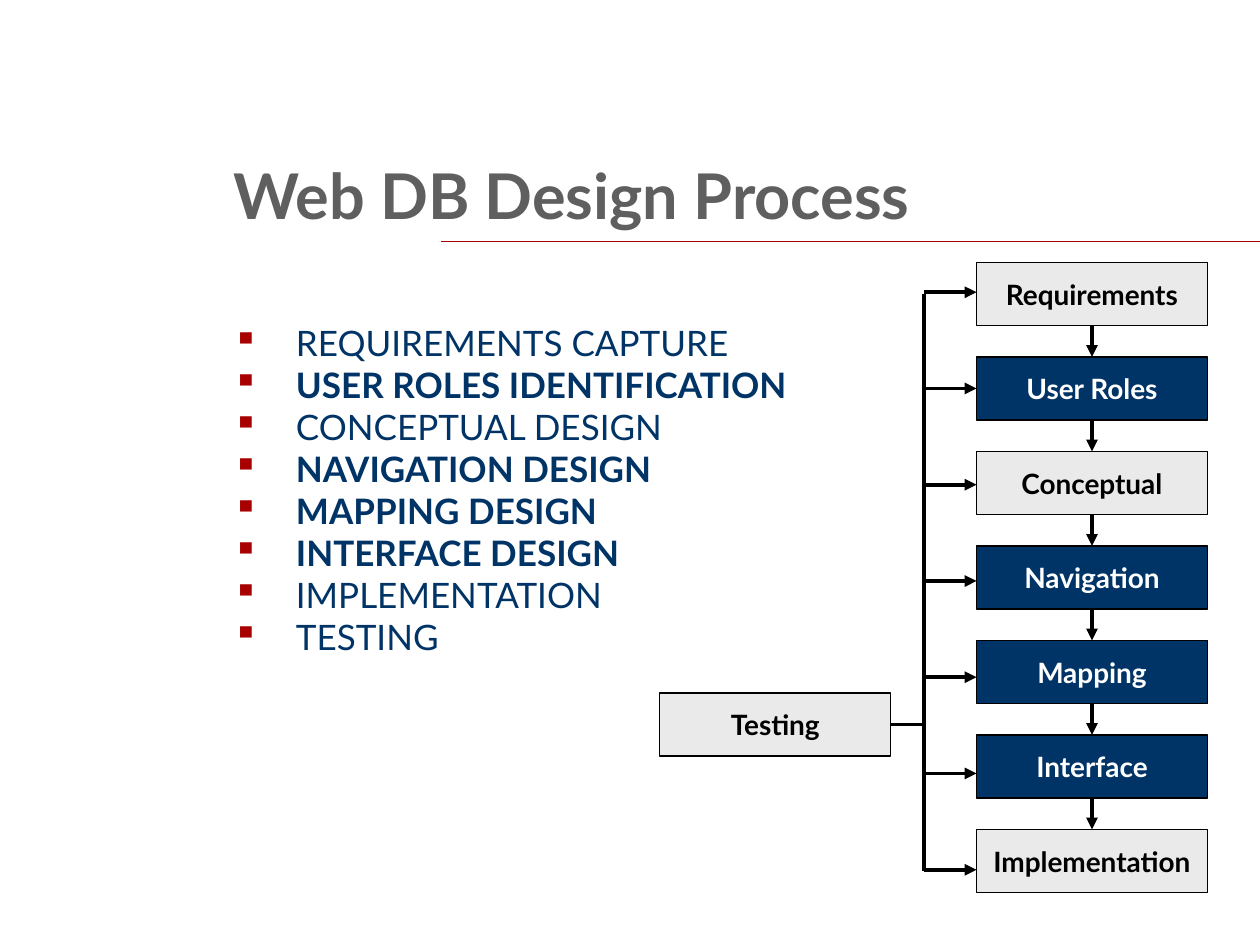
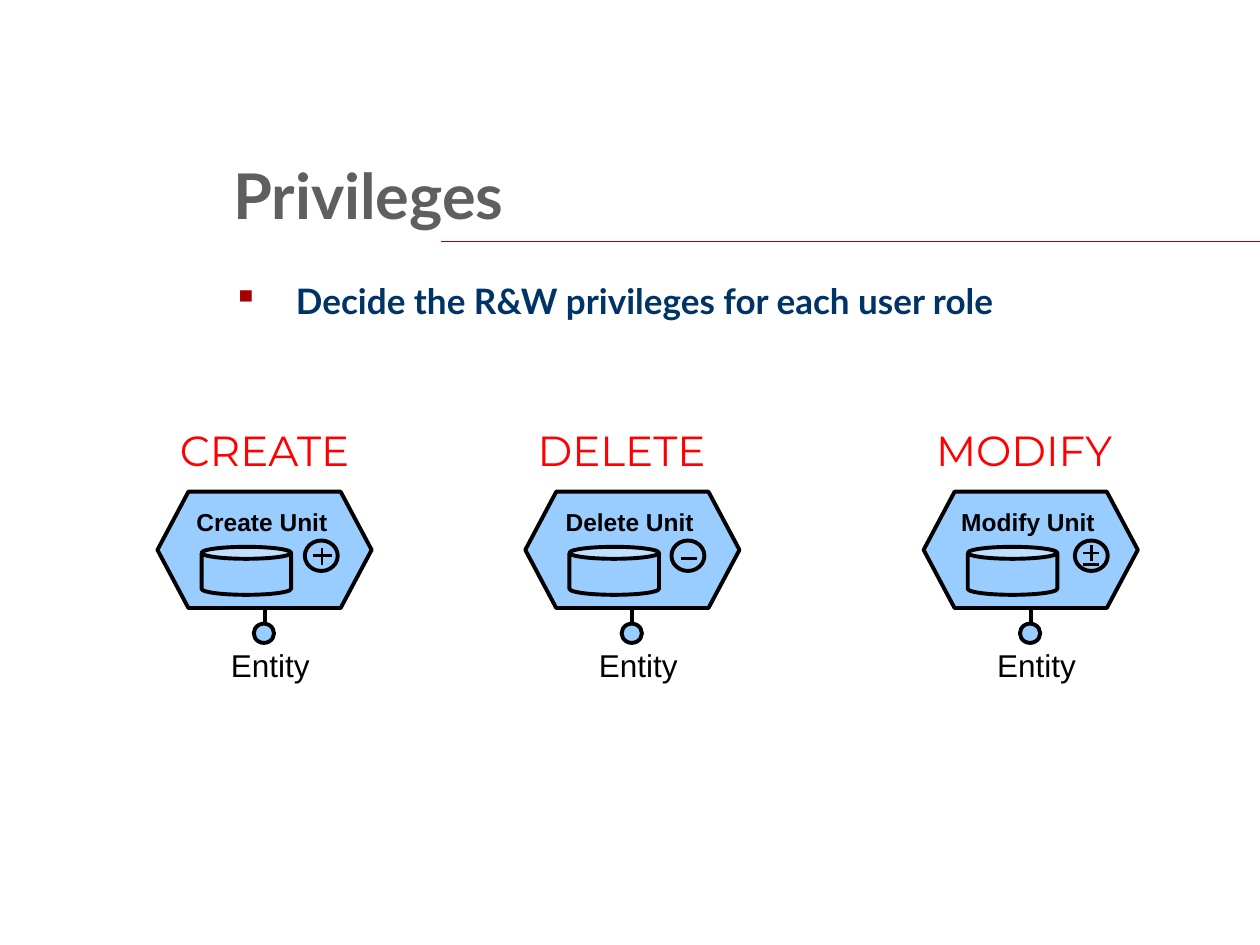
"""Build two slides on the web database design process and user privileges."""
from lxml import etree
from pptx import Presentation
from pptx.dml.color import RGBColor
from pptx.enum.shapes import MSO_CONNECTOR, MSO_SHAPE as SHAPE
from pptx.enum.text import MSO_ANCHOR as ANCHOR, MSO_AUTO_SIZE, PP_ALIGN as ALIGN
from pptx.oxml.ns import qn
from pptx.util import Pt

BLACK = RGBColor(0x00, 0x00, 0x00)
WHITE = RGBColor(0xFF, 0xFF, 0xFF)
GREY = RGBColor(0x5F, 0x5F, 0x5F)
PALE = RGBColor(0xEA, 0xEA, 0xEA)
NAVY = RGBColor(0x00, 0x33, 0x66)
SKY = RGBColor(0x99, 0xCC, 0xFF)
RED = RGBColor(0xFF, 0x00, 0x00)
MAROON = RGBColor(0xA8, 0x00, 0x00)

TITLE_FONT = dict(name="Lato", size=Pt(36), bold=True, color=GREY)
BODY_FONT = dict(name="Lato", size=Pt(20), color=NAVY)
BOX_FONT = dict(name="Lato", size=Pt(16), bold=True)
ACTION_FONT = dict(name="Montserrat", size=Pt(24), color=RED)
UNIT_FONT = dict(name="Arial", size=Pt(14), bold=True, color=BLACK)
ENTITY_FONT = dict(name="Arial", size=Pt(18), color=BLACK)

PROCESS_TITLE = "Web DB Design Process"
PROCESS_STEPS = [
    ("REQUIREMENTS CAPTURE", False),
    ("USER ROLES IDENTIFICATION", True),
    ("CONCEPTUAL DESIGN", False),
    ("NAVIGATION DESIGN", True),
    ("MAPPING DESIGN", True),
    ("INTERFACE DESIGN", True),
    ("IMPLEMENTATION", False),
    ("TESTING", False),
]
FLOW = [
    ("Requirements", False),
    ("User Roles", True),
    ("Conceptual", False),
    ("Navigation", True),
    ("Mapping", True),
    ("Interface", True),
    ("Implementation", False),
]

PRIVILEGES_TITLE = "Privileges"
PRIVILEGES_POINTS = [("Decide the R&W privileges for each user role", True)]
UNITS = [
    dict(action="CREATE", name="Create Unit", left=90, align=ALIGN.CENTER, ring=84.2,
         strokes=[(-5, 0, 6, 0), (0.5, 5, 0.5, -4.5)]),
    dict(action="DELETE", name="Delete Unit", left=300.2, align=ALIGN.LEFT, ring=83.5,
         strokes=[(-4, 1.5, 5, 1.5)]),
    dict(action="MODIFY", name="Modify Unit", left=527.8, align=ALIGN.LEFT, ring=86.4,
         strokes=[(-4.5, -1.5, 4.5, -1.5), (0, 3, 0, -6), (-5, 5, 4.5, 5)]),
]

BOX_W, BOX_H = 132, 36
FLOW_LEFT, FLOW_TOP, FLOW_PITCH = 558, 150, 54
BUS_X, BRANCH_TOP, BRANCH_PITCH = 528, 167, 55


def write(p, text, font):
    r = p.add_run()
    r.text = text
    for key, value in font.items():
        if key == "color":
            r.font.color.rgb = value
        else:
            setattr(r.font, key, value)


def set_margins(tf, margins):
    for side, value in margins.items():
        setattr(tf, f"margin_{side}", Pt(value))


def add_shape(shapes, kind, left, top, width, height, fill=None, weight=2.25):
    sp = shapes.add_shape(kind, Pt(left), Pt(top), Pt(width), Pt(height))
    sp.shadow.inherit = False
    if fill is None:
        sp.fill.background()
    else:
        sp.fill.solid()
        sp.fill.fore_color.rgb = fill
    sp.line.color.rgb = BLACK
    sp.line.width = Pt(weight)
    return sp


def add_line(shapes, x1, y1, x2, y2, color=BLACK, weight=2.25, arrow=False):
    line = shapes.add_connector(MSO_CONNECTOR.STRAIGHT, Pt(x1), Pt(y1), Pt(x2), Pt(y2))
    line.line.color.rgb = color
    line.line.width = Pt(weight)
    spPr = line._element.spPr
    if arrow:
        etree.SubElement(spPr.find(qn("a:ln")), qn("a:tailEnd"), type="triangle")
    etree.SubElement(spPr, qn("a:effectLst"))
    return line


def add_text(shapes, text, font, box, align, anchor=ANCHOR.TOP, margins={}):
    tf = shapes.add_textbox(*map(Pt, box)).text_frame
    tf.word_wrap = True
    tf.vertical_anchor = anchor
    set_margins(tf, margins)
    tf.paragraphs[0].alignment = align
    write(tf.paragraphs[0], text, font)


def add_bullets(shapes, items, top, height):
    tf = shapes.add_textbox(Pt(126), Pt(top), Pt(594), Pt(height)).text_frame
    tf.word_wrap = True
    for i, (text, bold) in enumerate(items):
        p = tf.add_paragraph() if i else tf.paragraphs[0]
        pPr = p._p.get_or_add_pPr()
        pPr.set("marL", str(Pt(36)))
        pPr.set("indent", str(-Pt(36)))
        color = etree.SubElement(pPr, qn("a:buClr"))
        etree.SubElement(color, qn("a:srgbClr"), val=str(MAROON))
        etree.SubElement(pPr, qn("a:buChar"), char="▪")
        write(p, text, BODY_FONT | dict(bold=bold))


def add_slide(prs, title):
    s = prs.slides.add_slide(prs.slide_layouts[5])
    add_line(s.shapes, 252, 138, 720, 138, MAROON, 0.75)
    sp = s.shapes.title
    for key, value in dict(left=126, top=84, width=594, height=54).items():
        setattr(sp, key, Pt(value))
    tf = sp.text_frame
    tf.auto_size = MSO_AUTO_SIZE.NONE
    tf.vertical_anchor = ANCHOR.MIDDLE
    tf.paragraphs[0].alignment = ALIGN.LEFT
    write(tf.paragraphs[0], title, TITLE_FONT)
    return s.shapes


def add_box(shapes, text, left, top, strong=False):
    sp = add_shape(shapes, SHAPE.RECTANGLE, left, top, BOX_W, BOX_H,
                   NAVY if strong else PALE, 0.75)
    p = sp.text_frame.paragraphs[0]
    p.alignment = ALIGN.CENTER
    write(p, text, BOX_FONT | dict(color=WHITE if strong else BLACK))
    return sp


def add_flow(shapes):
    boxes = [add_box(shapes, text, FLOW_LEFT, FLOW_TOP + i * FLOW_PITCH, strong)
             for i, (text, strong) in enumerate(FLOW)]
    testing = add_box(shapes, "Testing", 377, 396)
    for upper, lower in zip(boxes, boxes[1:]):
        line = add_line(shapes, 0, 0, 0, 0, arrow=True)
        line.begin_connect(upper, 2)
        line.end_connect(lower, 0)
    branches = [BRANCH_TOP + i * BRANCH_PITCH for i in range(len(boxes))]
    add_line(shapes, BUS_X, branches[0] + 1, BUS_X, branches[-1] + 1)
    for y in branches:
        add_line(shapes, BUS_X, y, FLOW_LEFT, y, arrow=True)
    add_line(shapes, 509, 414, BUS_X, 414).begin_connect(testing, 3)


def add_unit(shapes, unit):
    x = unit["left"]
    hexagon = add_shape(shapes, SHAPE.HEXAGON, x, 281, 122.4, 66.5, SKY)
    hexagon.adjustments[0] = 0.266
    tf = hexagon.text_frame
    tf.vertical_anchor = ANCHOR.TOP
    set_margins(tf, dict(left=0, top=0, right=3, bottom=3.6))
    tf.paragraphs[0].alignment = ALIGN.CENTER
    write(tf.paragraphs[0], unit["name"], UNIT_FONT)

    add_line(shapes, x + 61.2, 347.5, x + 61.2, 356.4)
    add_shape(shapes, SHAPE.OVAL, x + 55, 356.4, 11.6, 11, SKY)
    add_text(shapes, " Entity", ENTITY_FONT, (x + 9.8, 369.4, 104.4, 20.2), ALIGN.CENTER,
             margins=dict(left=0, top=0, right=0, bottom=3))
    add_shape(shapes, SHAPE.CAN, x + 25.2, 312.5, 51.2, 27.4, SKY)

    ring_w, ring_h, ring_top = 18.8, 17.4, 308.9
    add_shape(shapes, SHAPE.OVAL, x + unit["ring"], ring_top, ring_w, ring_h)
    cx, cy = x + unit["ring"] + ring_w / 2, ring_top + ring_h / 2
    for x1, y1, x2, y2 in unit["strokes"]:
        add_line(shapes, cx + x1, cy + y1, cx + x2, cy + y2, weight=1.5)
    add_text(shapes, unit["action"], ACTION_FONT, (x, 234, 122.4, 41), unit["align"],
             ANCHOR.BOTTOM)


def main():
    prs = Presentation()
    prs.slide_width, prs.slide_height = Pt(720), Pt(540)

    shapes = add_slide(prs, PROCESS_TITLE)
    add_bullets(shapes, PROCESS_STEPS, 180, 200)
    add_flow(shapes)

    shapes = add_slide(prs, PRIVILEGES_TITLE)
    for unit in UNITS:
        add_unit(shapes.add_group_shape().shapes, unit)
    add_bullets(shapes, PRIVILEGES_POINTS, 156, 55)

    prs.save("out.pptx")


if __name__ == "__main__":
    main()
